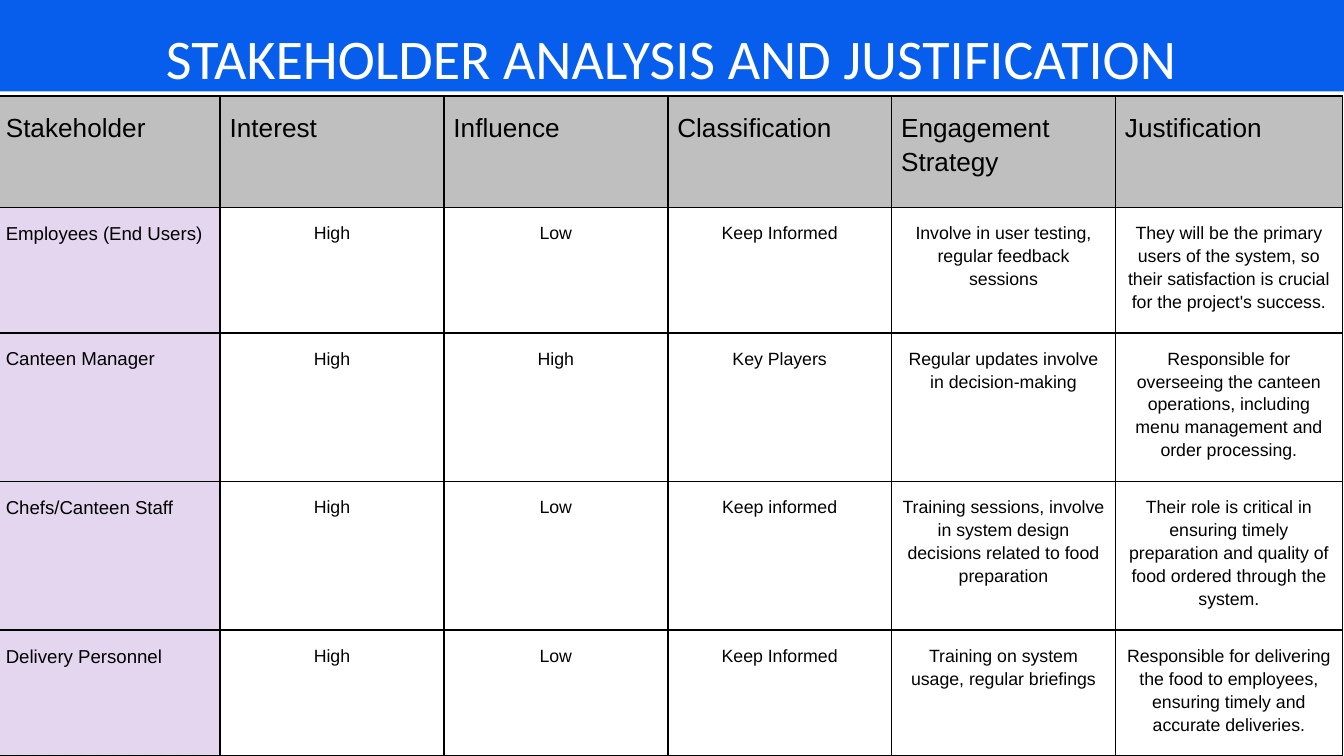
from lxml.etree import SubElement
from pptx import Presentation
from pptx.dml.color import RGBColor
from pptx.enum.shapes import MSO_SHAPE
from pptx.enum.text import MSO_ANCHOR, MSO_AUTO_SIZE, PP_ALIGN
from pptx.oxml.ns import qn
from pptx.util import Cm, Pt

BLUE = RGBColor(0x07, 0x5E, 0xED)
WHITE = RGBColor(0xFF, 0xFF, 0xFF)
BLACK = RGBColor(0, 0, 0)
GREY = RGBColor(0xBF, 0xBF, 0xBF)
LILAC = RGBColor(0xE4, 0xD4, 0xF0)

TITLE_ONLY = 5
BAND_LEFT, BAND_WIDTH = Cm(-2.46), Cm(30.3)
COLUMN_WIDTHS = [4.23] * 5 + [4.29]
ROW_HEIGHTS = [2.1, 2.37, 2.81, 2.81, 2.37]

ROWS = [
    ["Stakeholder", "Interest", "Influence", "Classification",
     "Engagement Strategy", "Justification"],
    ["Employees (End Users)", "High", "Low", "Keep Informed",
     "Involve in user testing, regular feedback sessions",
     "They will be the primary users of the system, so their satisfaction "
     "is crucial for the project's success."],
    ["Canteen Manager", "High", "High", "Key Players",
     "Regular updates involve in decision-making",
     "Responsible for overseeing the canteen operations, including menu "
     "management and order processing."],
    ["Chefs/Canteen Staff", "High", "Low", "Keep informed",
     "Training sessions, involve in system design decisions related to "
     "food preparation",
     "Their role is critical in ensuring timely preparation and quality of "
     "food ordered through the system."],
    ["Delivery Personnel", "High", "Low", "Keep Informed",
     "Training on system usage, regular briefings",
     "Responsible for delivering the food to employees, ensuring timely "
     "and accurate deliveries."],
]


def add_band(slide):
    band = slide.shapes.add_shape(
        MSO_SHAPE.RECTANGLE, BAND_LEFT, Cm(-0.71), BAND_WIDTH, Cm(2.44))
    band.shadow.inherit = False
    band.fill.solid()
    band.fill.fore_color.rgb = BLUE
    band.line.fill.background()
    return band


def format_title(title, text):
    title.left, title.top = BAND_LEFT, Cm(-0.18)
    title.width, title.height = BAND_WIDTH, Cm(1.93)
    frame = title.text_frame
    frame.text = text
    frame.word_wrap = True
    frame.auto_size = MSO_AUTO_SIZE.NONE
    frame.vertical_anchor = MSO_ANCHOR.MIDDLE
    frame.margin_left = frame.margin_right = Cm(0.08)
    frame.margin_top = frame.margin_bottom = Cm(0.08)
    paragraph = frame.paragraphs[0]
    paragraph.alignment = PP_ALIGN.CENTER
    paragraph.line_spacing = 1.48
    paragraph.space_before = Pt(0)
    set_font(paragraph, "Calibri", 30, WHITE)


def set_font(paragraph, name, size, color):
    font = paragraph.font
    font.name, font.size = name, Pt(size)
    font.color.rgb = color


def add_borders(cell):
    properties = cell._tc.get_or_add_tcPr()
    for side in ("a:lnL", "a:lnR", "a:lnT", "a:lnB"):
        line = SubElement(properties, qn(side), w=str(Pt(1)))
        fill = SubElement(line, qn("a:solidFill"))
        SubElement(fill, qn("a:srgbClr"), val=str(BLACK))


def fill_cell(cell, color, opacity=100):
    if color is None:
        cell.fill.background()
        return
    cell.fill.solid()
    cell.fill.fore_color.rgb = color
    if opacity < 100:
        for element in cell._tc.tcPr.findall(qn("a:solidFill") + "/" + qn("a:srgbClr")):
            SubElement(element, qn("a:alpha"), val=str(opacity * 1000))


def format_cell(cell, text, size, alignment, color, opacity=100):
    cell.text = text
    cell.margin_left = cell.margin_right = Cm(0.18)
    cell.margin_top = cell.margin_bottom = Cm(0.25)
    paragraph = cell.text_frame.paragraphs[0]
    paragraph.alignment = alignment
    paragraph.line_spacing = 1.15
    paragraph.space_after = Pt(12)
    set_font(paragraph, "Arial", size, BLACK)
    add_borders(cell)
    fill_cell(cell, color, opacity)


def add_stakeholder_table(slide):
    table = slide.shapes.add_table(
        len(ROWS), len(COLUMN_WIDTHS), Cm(-0.07), Cm(1.82),
        Cm(sum(COLUMN_WIDTHS)), Cm(sum(ROW_HEIGHTS))).table
    table.first_row = table.horz_banding = False
    for column, width in zip(table.columns, COLUMN_WIDTHS):
        column.width = Cm(width)
    for row, height in zip(table.rows, ROW_HEIGHTS):
        row.height = Cm(height)

    for row_index, texts in enumerate(ROWS):
        for column_index, text in enumerate(texts):
            cell = table.cell(row_index, column_index)
            if row_index == 0:
                format_cell(cell, text, 14, PP_ALIGN.LEFT, GREY)
            elif column_index == 0:
                format_cell(cell, text, 10, PP_ALIGN.LEFT, LILAC, 94)
            else:
                format_cell(cell, text, 9.5, PP_ALIGN.CENTER, None)


def main():
    presentation = Presentation()
    presentation.slide_width, presentation.slide_height = Cm(25.4), Cm(14.29)
    slide = presentation.slides.add_slide(presentation.slide_layouts[TITLE_ONLY])

    # Stakeholder table
    add_stakeholder_table(slide)

    # Blue band with the title in front of it
    band = add_band(slide)
    title = slide.shapes.title
    format_title(title, "STAKEHOLDER ANALYSIS AND JUSTIFICATION")
    band.element.addnext(title.element)

    presentation.save("out.pptx")


if __name__ == "__main__":
    main()
